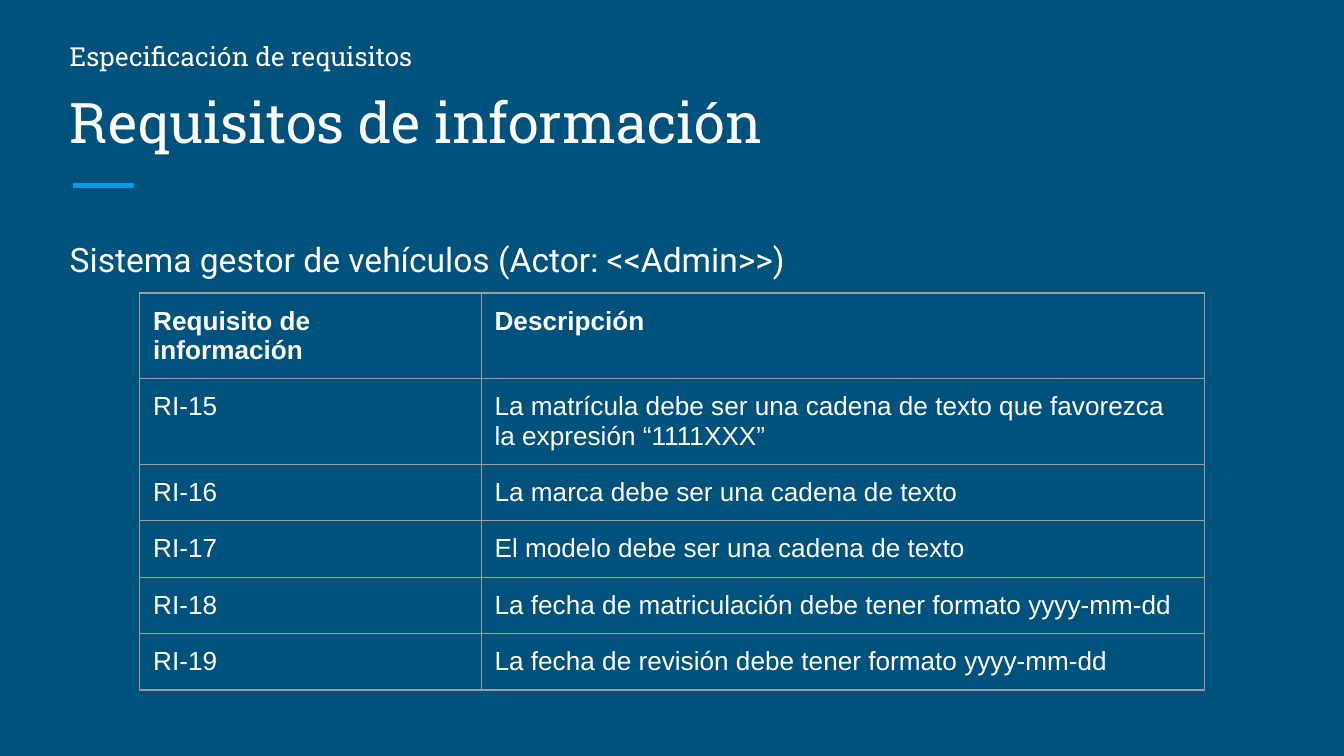
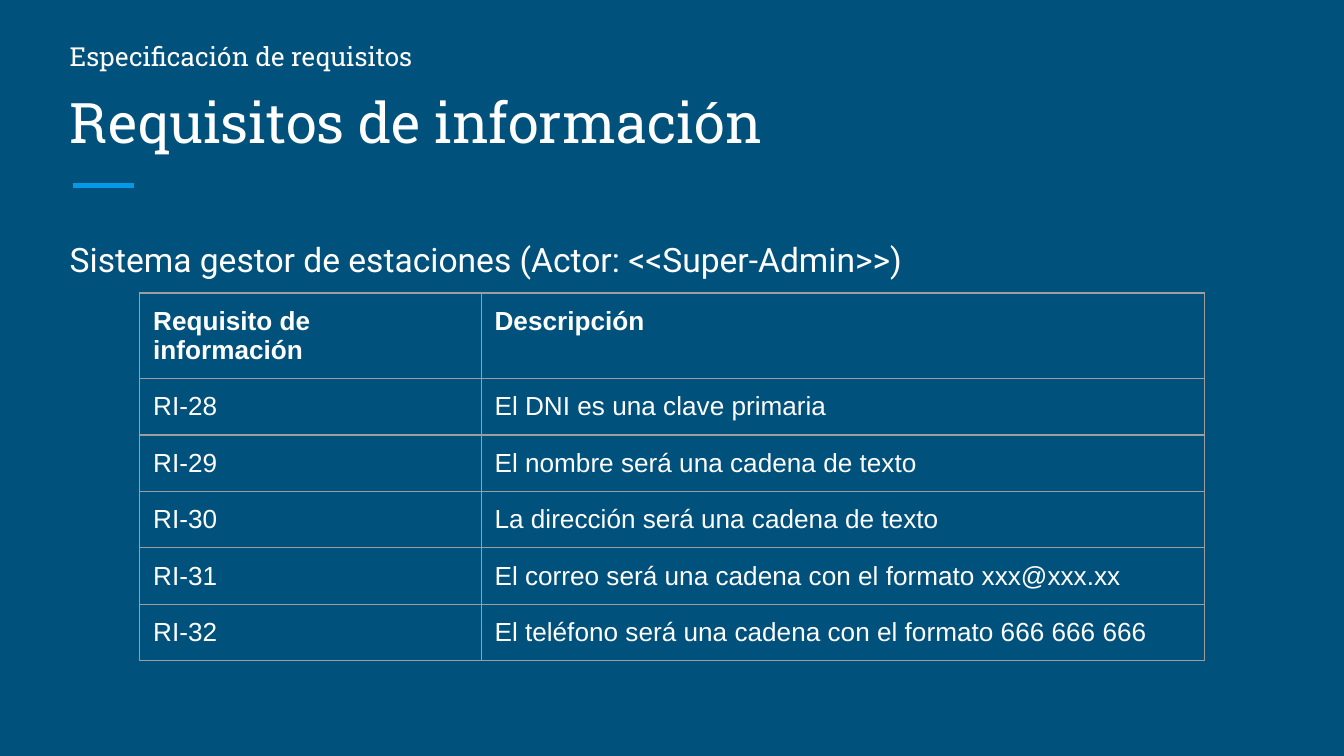
"""Build two slides of information requirements, each with a table."""
from lxml import etree
from pptx import Presentation
from pptx.dml.color import RGBColor
from pptx.enum.shapes import MSO_CONNECTOR
from pptx.enum.text import MSO_ANCHOR, MSO_AUTO_SIZE, PP_ALIGN
from pptx.oxml import parse_xml
from pptx.oxml.ns import qn
from pptx.util import Inches, Pt

STRAIGHT = MSO_CONNECTOR.STRAIGHT
TOP, BOTTOM = MSO_ANCHOR.TOP, MSO_ANCHOR.BOTTOM
LEFT, FIXED = PP_ALIGN.LEFT, MSO_AUTO_SIZE.NONE
NS = "http://schemas.openxmlformats.org/drawingml/2006/main"

HEX = {"back": "00517C", "text": "FFFFFF", "accent": "039BE5", "grid": "9E9E9E"}
SLAB, SANS, CELL = "Roboto Slab", "Roboto", "Arial"

TOPIC = "Especificación de requisitos"
TITLE = "Requisitos de información"
HEAD = ("Requisito de información", "Descripción")
SLIDES = [
    ("Sistema gestor de vehículos (Actor: <<Admin>>)", 15, [
        "La matrícula debe ser una cadena de texto que favorezca la expresión “1111XXX”",
        "La marca debe ser una cadena de texto",
        "El modelo debe ser una cadena de texto",
        "La fecha de matriculación debe tener formato yyyy-mm-dd",
        "La fecha de revisión debe tener formato yyyy-mm-dd",
    ]),
    ("Sistema gestor de estaciones (Actor: <<Super-Admin>>)", 28, [
        "El DNI es una clave primaria",
        "El nombre será una cadena de texto",
        "La dirección será una cadena de texto",
        "El correo será una cadena con el formato xxx@xxx.xx",
        "El teléfono será una cadena con el formato 666 666 666",
    ]),
]

WIDE = 10
HIGH = WIDE * 9 / 16
EDGE, FULL, PAD = 0.42, 9.15, 0.1
COLS, ROW, SIDE = (2.54, 5.38), 0.42, 3.28


def color(key):
    return RGBColor.from_string(HEX[key])


def style(para, face, size, bold=False):
    para.alignment = LEFT
    for run in para.runs:
        font = run.font
        font.name, font.size, font.bold = face, Pt(size), bold
        font.color.rgb = color("text")


def pad(part):
    part.margin_left = part.margin_right = Inches(PAD)
    part.margin_top = part.margin_bottom = Inches(PAD)


def write(shape, box, text, face, size, anchor=TOP):
    shape.left, shape.top, shape.width, shape.height = map(Inches, box)
    frame = shape.text_frame
    frame.text = text
    frame.word_wrap, frame.auto_size = True, FIXED
    frame.vertical_anchor = anchor
    pad(frame)
    para = frame.paragraphs[0]
    style(para, face, size)
    return para


def add_text(slide, box, *args):
    return write(slide.shapes.add_textbox(*map(Inches, box)), box, *args)


def add_rule(slide):
    ends = map(Inches, (0.54, 1.38, 1, 1.38))
    rule = slide.shapes.add_connector(STRAIGHT, *ends)
    rule.line.color.rgb, rule.line.width = color("accent"), Pt(3)
    props = rule._element.find(qn("p:spPr"))
    etree.SubElement(props, qn("a:effectLst"))


def frame_cell(cell):
    props = cell._tc.get_or_add_tcPr()
    for spot, side in enumerate("LRTB"):
        props.insert(spot, parse_xml(
            f'<a:ln{side} xmlns:a="{NS}" w="{Pt(0.75)}"><a:solidFill>'
            f'<a:srgbClr val="{HEX["grid"]}"/></a:solidFill></a:ln{side}>'))


def add_grid(slide, rows):
    box = map(Inches, (1.04, 2.18, sum(COLS), ROW * len(rows)))
    holder = slide.shapes.add_table(len(rows), len(COLS), *box)
    grid = holder.table
    grid.horz_banding = False
    for col, width in zip(grid.columns, COLS):
        col.width = Inches(width)
    for r, row in enumerate(rows):
        for c, text in enumerate(row):
            cell = grid.cell(r, c)
            cell.text = text
            cell.fill.background()
            pad(cell)
            style(cell.text_frame.paragraphs[0], CELL, 14, r == 0)
            frame_cell(cell)
    holder.width = holder.height = Inches(SIDE)


def add_slide(deck, system, first, needs):
    slide = deck.slides.add_slide(deck.slide_layouts[5])
    add_rule(slide)
    write(slide.shapes.title, (EDGE, 0.5, FULL, 0.75), TITLE, SLAB, 30, BOTTOM)
    para = add_text(slide, (EDGE, 1.63, FULL, 3.37), system, SANS, 18)
    para.line_spacing, para.space_after = 1.15, Pt(12)
    add_text(slide, (EDGE, 0.2, 4.57, 0.44), TOPIC, SLAB, 14)
    add_grid(slide, [HEAD] + [(f"RI-{n}", need) for n, need in enumerate(needs, first)])


def main():
    deck = Presentation()
    deck.slide_width, deck.slide_height = Inches(WIDE), Inches(HIGH)
    fill = deck.slide_master.background.fill
    fill.solid()
    fill.fore_color.rgb = color("back")
    for item in SLIDES:
        add_slide(deck, *item)
    deck.save("out.pptx")


if __name__ == "__main__":
    main()
